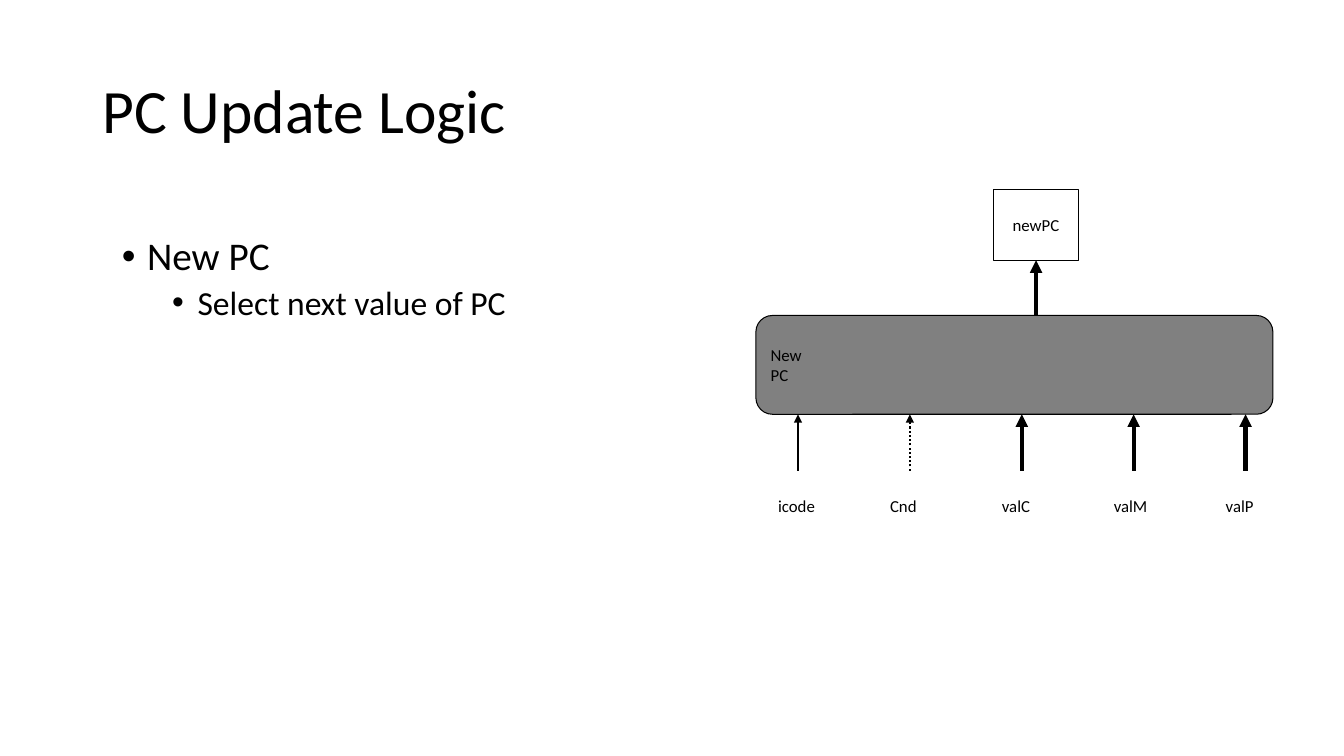
from dataclasses import dataclass
from typing import Any

from lxml import etree
from pptx import Presentation
from pptx.dml.color import RGBColor
from pptx.enum.dml import MSO_LINE
from pptx.enum.shapes import MSO_CONNECTOR, MSO_SHAPE
from pptx.enum.text import MSO_ANCHOR, PP_ALIGN
from pptx.oxml.ns import qn
from pptx.util import Cm, Pt

STRAIGHT = MSO_CONNECTOR.STRAIGHT
SOLID, DOTTED = MSO_LINE.SOLID, MSO_LINE.ROUND_DOT
RECTANGLE, ROUNDED, ELLIPSE = MSO_SHAPE.RECTANGLE, MSO_SHAPE.ROUNDED_RECTANGLE, MSO_SHAPE.OVAL
TOP, MIDDLE = MSO_ANCHOR.TOP, MSO_ANCHOR.MIDDLE
LEFT, CENTER = PP_ALIGN.LEFT, PP_ALIGN.CENTER

FONT = "Calibri"
COLORS = {"ink": "000000", "logic": "808080", "paper": "FFFFFF"}

# Lengths in centimetres
CELL_WIDTH, CELL_HEIGHT = 2.12, 1.78
LOGIC_LEFT, LOGIC_TOP, LOGIC_WIDTH, LOGIC_HEIGHT = 19.05, 7.95, 13.03, 2.49
INPUT_PITCH, INPUT_TOP = 2.82, 11.86
OUTPUT_LEFT, OUTPUT_TOP = 25.05, 4.78


@dataclass
class Box:
    left: float
    top: float
    width: float
    height: float

    def lengths(self) -> list[Cm]:
        return [Cm(value) for value in (self.left, self.top, self.width, self.height)]


@dataclass
class Line:
    text: str
    size: int
    spacing: float = 1.0
    space_before: int = 0
    bullet_indent: float | None = None
    level: int = 0


@dataclass
class Signal:
    name: str
    width: float
    dash: Any = SOLID


SIGNALS = [
    Signal("icode", 1),
    Signal("Cnd", 1.5, DOTTED),
    Signal("valC", 3),
    Signal("valM", 3),
    Signal("valP", 3),
]


def color(name: str) -> RGBColor:
    return RGBColor.from_string(COLORS[name])


def set_attributes(target: Any, values: dict[str, Any]) -> None:
    for name, value in values.items():
        setattr(target, name, value)


def add_bullet(paragraph: Any, indent: float) -> None:
    properties = paragraph._p.get_or_add_pPr()
    properties.set("marL", str(Cm(indent)))
    properties.set("indent", str(-Cm(0.64)))
    etree.SubElement(properties, qn("a:buFont"), typeface="Arial")
    etree.SubElement(properties, qn("a:buChar"), char="•")


def write_lines(shape: Any, lines: list[Line], anchor: Any, alignment: Any, wrap: bool) -> None:
    frame = shape.text_frame
    set_attributes(frame, {"word_wrap": wrap, "vertical_anchor": anchor})
    for index, line in enumerate(lines):
        paragraph = frame.add_paragraph() if index else frame.paragraphs[0]
        paragraph.text = line.text
        if line.bullet_indent is not None:
            add_bullet(paragraph, line.bullet_indent)
        set_attributes(paragraph, {
            "alignment": alignment,
            "level": line.level,
            "line_spacing": line.spacing,
            "space_before": Pt(line.space_before),
        })
        font = paragraph.runs[0].font
        set_attributes(font, {"name": FONT, "size": Pt(line.size)})
        font.color.rgb = color("ink")


def add_text(slide: Any, box: Box, lines: list[Line], anchor: Any) -> None:
    write_lines(slide.shapes.add_textbox(*box.lengths()), lines, anchor, LEFT, True)


def add_block(slide: Any, kind: Any, box: Box, texts: list[str],
              fill: str | None = None, alignment: Any = LEFT) -> None:
    """Draw a diagram block; without a fill it has no outline either."""
    shape = slide.shapes.add_shape(kind, *box.lengths())
    shape.shadow.inherit = False
    if fill:
        shape.fill.solid()
        shape.fill.fore_color.rgb = color(fill)
        shape.line.color.rgb = color("ink")
        shape.line.width = Pt(0.75)
    else:
        shape.fill.background()
        shape.line.fill.background()
    write_lines(shape, [Line(text, 12) for text in texts], MIDDLE, alignment, False)


def add_up_arrow(slide: Any, x: float, start: float, end: float,
                 width: float, dash: Any = SOLID) -> None:
    arrow = slide.shapes.add_connector(STRAIGHT, Cm(x), Cm(start), Cm(x), Cm(end))
    arrow.line.color.rgb = color("ink")
    set_attributes(arrow.line, {"width": Pt(width), "dash_style": dash})
    etree.SubElement(arrow.line._get_or_add_ln(), qn("a:tailEnd"), type="triangle")
    etree.SubElement(arrow._element.spPr, qn("a:effectLst"))


def add_diagram(slide: Any) -> None:
    add_block(slide, ROUNDED, Box(LOGIC_LEFT, LOGIC_TOP, LOGIC_WIDTH, LOGIC_HEIGHT),
              ["New", "PC"], "logic")
    for index, signal in enumerate(SIGNALS):
        left = LOGIC_LEFT + index * INPUT_PITCH
        add_block(slide, ELLIPSE, Box(left, INPUT_TOP, CELL_WIDTH, CELL_HEIGHT), [signal.name])
        add_up_arrow(slide, left + CELL_WIDTH / 2, INPUT_TOP, LOGIC_TOP + LOGIC_HEIGHT,
                     signal.width, signal.dash)
    add_up_arrow(slide, OUTPUT_LEFT + CELL_WIDTH / 2, LOGIC_TOP, OUTPUT_TOP + CELL_HEIGHT, 3)
    add_block(slide, RECTANGLE, Box(OUTPUT_LEFT, OUTPUT_TOP, CELL_WIDTH, CELL_HEIGHT),
              ["newPC"], "paper", CENTER)


def main() -> None:
    presentation = Presentation()
    set_attributes(presentation, {"slide_width": Cm(33.87), "slide_height": Cm(19.05)})
    slide = presentation.slides.add_slide(presentation.slide_layouts[6])
    add_text(slide, Box(2.33, 1.02, 29.21, 3.68), [Line("PC Update Logic", 44, 0.9)], MIDDLE)
    add_text(slide, Box(2.82, 5.84, 14.83, 7.01), [
        Line("New PC", 28, 0.9, bullet_indent=0.64),
        Line("Select next value of PC", 24, 0.9, 5, bullet_indent=1.91, level=1),
    ], TOP)
    add_diagram(slide)
    presentation.save("out.pptx")


if __name__ == "__main__":
    main()
